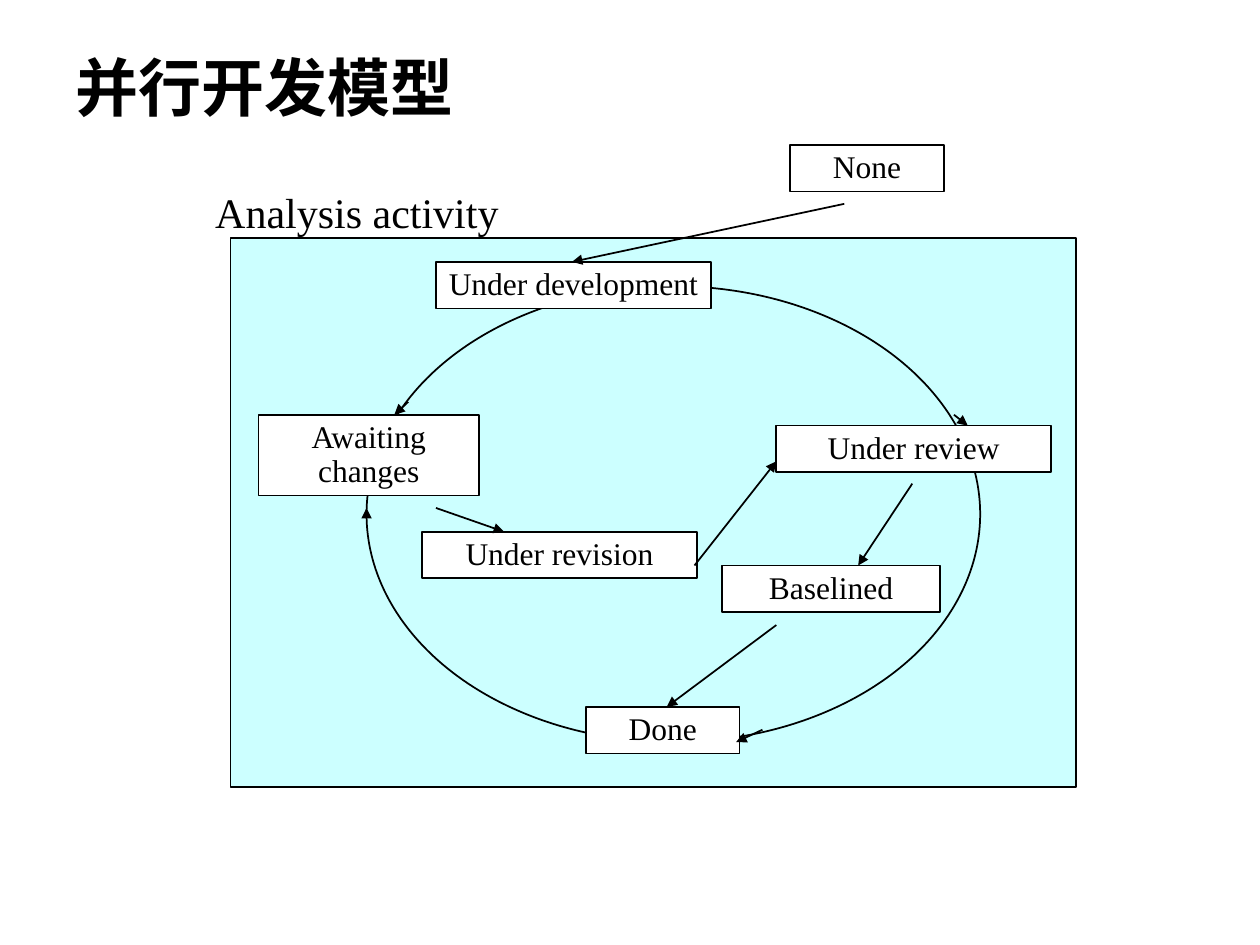
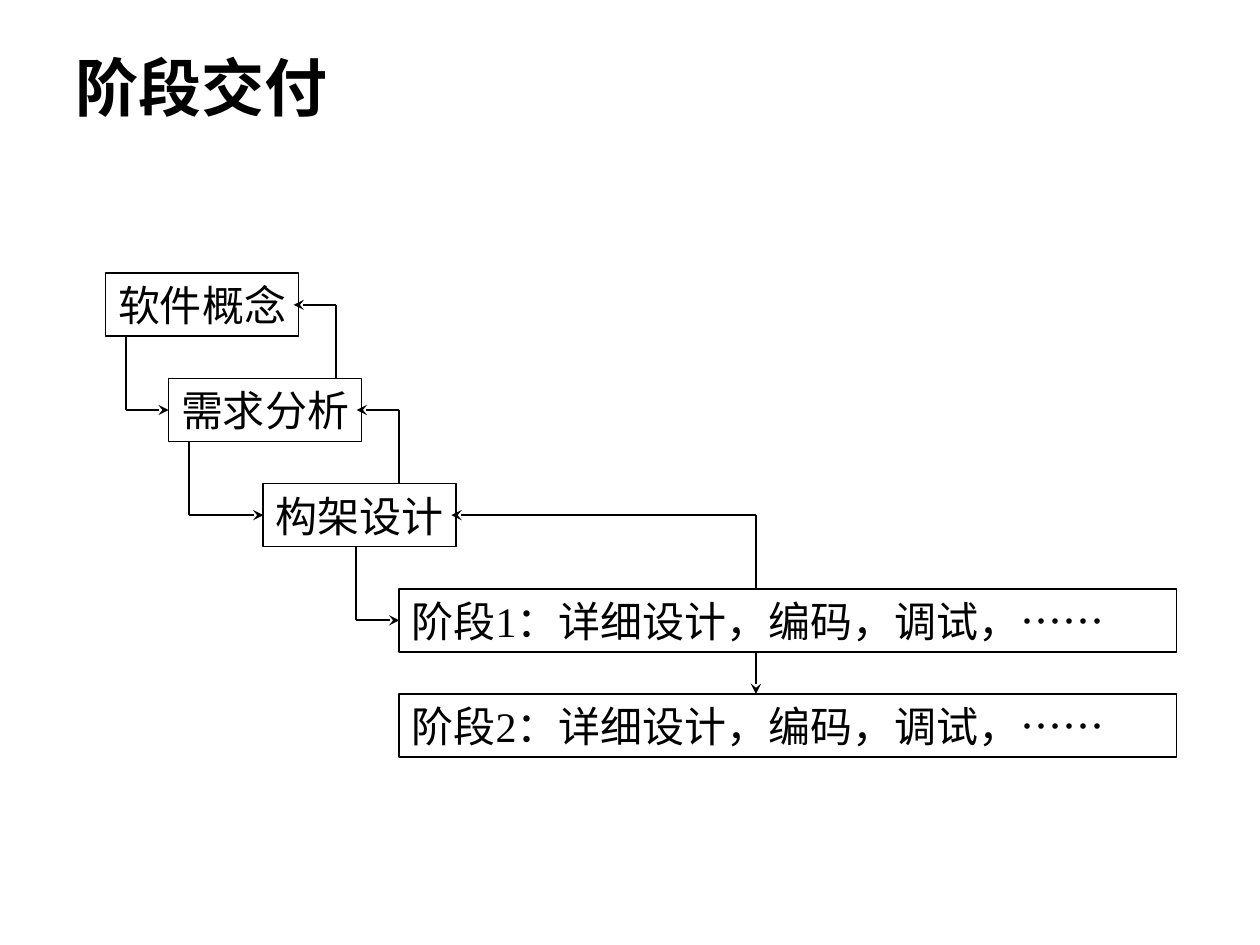
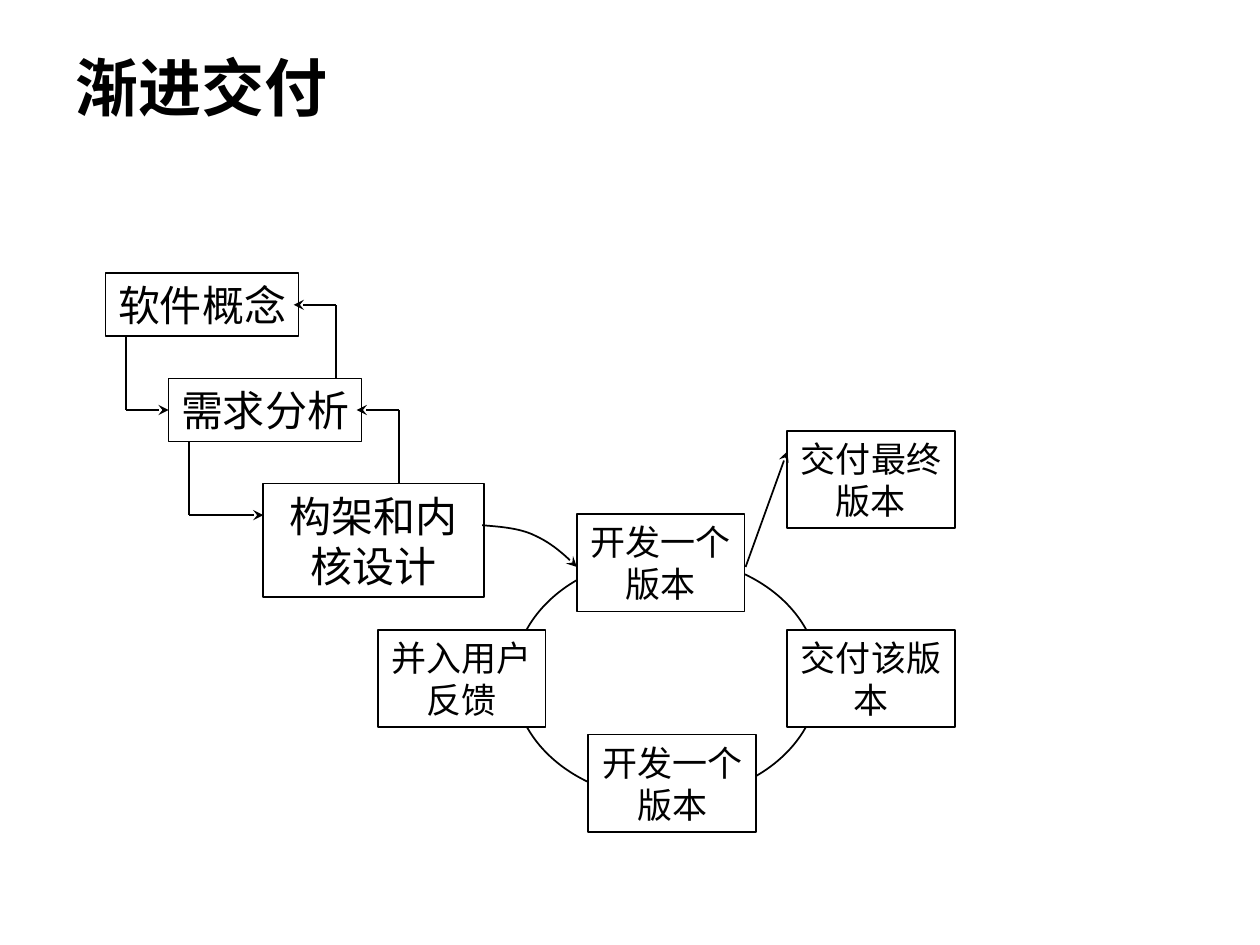
from lxml.etree import SubElement
from pptx import Presentation
from pptx.dml.color import RGBColor
from pptx.enum.lang import MSO_LANGUAGE_ID
from pptx.enum.shapes import MSO_CONNECTOR, MSO_SHAPE
from pptx.enum.text import MSO_ANCHOR, MSO_AUTO_SIZE, PP_ALIGN
from pptx.oxml.ns import qn
from pptx.util import Cm, Pt

BLACK = RGBColor(0x00, 0x00, 0x00)
WHITE = RGBColor(0xFF, 0xFF, 0xFF)
PALE_CYAN = RGBColor(0xCC, 0xFF, 0xFF)
BODY_FONT = "Times New Roman"
TITLE_FONT = "Lato"
LINE_WIDTH = Pt(1)

STEP_WIDTH, STEP_HEIGHT, STEP_PITCH = 3.89, 1.27, 2.12
STATE_HEIGHT = 0.94
VERSION_SIZE = (3.38, 1.96)

TITLE = {"size": 36, "name": TITLE_FONT, "bold": True}
STEP = {"size": 24, "before": 15}
CENTRED_STEP = {**STEP, "align": PP_ALIGN.CENTER}
STATE = {"size": 18, "before": 11.2, "spacing": 0.9, "align": PP_ALIGN.CENTER}
VERSION = {"size": 20, "before": 12.5, "align": PP_ALIGN.CENTER}


def set_all(target, values):
    """Set each attribute named in a dict of format values."""
    for name, value in values.items():
        setattr(target, name, value)


def write(shape, text, style, wrap=True, anchor=MSO_ANCHOR.TOP,
          fit=MSO_AUTO_SIZE.SHAPE_TO_FIT_TEXT):
    """Put one styled paragraph into a shape."""
    frame = shape.text_frame
    set_all(frame, {
        "word_wrap": wrap, "auto_size": fit, "vertical_anchor": anchor,
        "margin_left": Cm(0.25), "margin_right": Cm(0.25),
        "margin_top": Cm(0.13), "margin_bottom": Cm(0.13),
    })
    para = frame.paragraphs[0]
    set_all(para, {
        "alignment": style.get("align", PP_ALIGN.LEFT),
        "space_before": Pt(style.get("before", 0)),
        "line_spacing": style.get("spacing", 1.0),
    })
    span = para.add_run()
    span.text = text
    set_all(span.font, {
        "size": Pt(style["size"]), "name": style.get("name", BODY_FONT),
        "bold": style.get("bold", False),
        "language_id": MSO_LANGUAGE_ID.SIMPLIFIED_CHINESE,
    })
    span.font.color.rgb = BLACK


def paint(shape, fill=None):
    """Give a shape a thin black outline, an optional fill and no shadow."""
    shape.shadow.inherit = False
    if fill is None:
        shape.fill.background()
    else:
        shape.fill.solid()
        shape.fill.fore_color.rgb = fill
    outline(shape)


def outline(shape, head=None):
    """Draw the line in black, with an arrowhead at its end if one is named."""
    shape.line.color.rgb = BLACK
    shape.line.width = LINE_WIDTH
    if head:
        SubElement(shape.line._get_or_add_ln(), qn("a:tailEnd"), type=head)


def add_outlined(page, kind, left, top, width, height, fill=None):
    """Add a preset shape with the shared outline."""
    shape = page.shapes.add_shape(kind, Cm(left), Cm(top), Cm(width), Cm(height))
    paint(shape, fill)
    return shape


def add_line(page, start, end, head=None):
    """Add a straight line from start to end."""
    line = page.shapes.add_connector(
        MSO_CONNECTOR.STRAIGHT, *(Cm(value) for value in (*start, *end)))
    outline(line, head)
    SubElement(line._element.spPr, qn("a:effectLst"))


def add_elbow(page, start, end):
    """Add a vertical leg followed by a horizontal arrow."""
    corner = (start[0], end[1])
    add_line(page, start, corner)
    add_line(page, corner, end, "stealth")


def bezier(points, pieces=12):
    """Return points along a cubic curve, without its first point."""
    weights = (1, 3, 3, 1)
    return [tuple(sum(weights[k] * (1 - t) ** (3 - k) * t ** k * points[k][axis]
                      for k in range(4)) for axis in (0, 1))
            for t in (piece / pieces for piece in range(1, pieces + 1))]


def add_title(page, text):
    """Place the slide title."""
    box = page.shapes.add_textbox(Cm(1.27), Cm(0.76), Cm(22.86), Cm(1.96))
    write(box, text, TITLE, anchor=MSO_ANCHOR.MIDDLE, fit=MSO_AUTO_SIZE.NONE)


def add_state_diagram(page, left, top, width, height):
    """Draw the activity panel with its states and transitions."""
    def at(x, y):
        return left + x, top + y

    add_outlined(page, MSO_SHAPE.RECTANGLE, left, top, width, height, PALE_CYAN)
    add_outlined(page, MSO_SHAPE.OVAL, *at(2.74, 0.97), 12.37, 9.19)
    states = [
        ("None", 11.28, -1.88, 3.1, STATE_HEIGHT),
        ("Awaiting changes", 0.56, 3.56, 4.45, 1.63),
        ("Under revision", 3.86, 5.92, 5.54, STATE_HEIGHT),
        ("Under review", 11, 3.78, 5.54, STATE_HEIGHT),
        ("Baselined", 9.91, 6.6, 4.39, STATE_HEIGHT),
        ("Done", 7.16, 9.45, 3.1, STATE_HEIGHT),
        ("Under development", 4.14, 0.48, 5.54, STATE_HEIGHT),
    ]
    for name, x, y, state_width, state_height in states:
        state = add_outlined(page, MSO_SHAPE.RECTANGLE, *at(x, y),
                             state_width, state_height, WHITE)
        write(state, name, STATE)
    transitions = [
        ((12.37, -0.69), (6.88, 0.48)), ((3.58, 3.3), (3.3, 3.56)),
        ((2.74, 5.66), (2.74, 5.44)), ((4.14, 5.44), (5.51, 5.92)),
        ((9.35, 6.6), (11, 4.5)), ((13.74, 4.95), (12.65, 6.6)),
        ((11, 7.8), (8.79, 9.45)), ((14.58, 3.56), (14.86, 3.78)),
        ((10.72, 9.91), (10.19, 10.16)),
    ]
    for start, end in transitions:
        add_line(page, at(*start), at(*end), "triangle")
    x, y = at(-0.56, -1.17)
    label = page.shapes.add_textbox(Cm(x), Cm(y), Cm(6.22), Cm(1.27))
    write(label, "Analysis activity", STEP, wrap=False)


def add_cascade(page, left, top, steps, links):
    """Draw falling steps, each joined to the next by a pair of elbows.

    A step is (text, offset, width, height, style, wrap);
    a link is (x of the way down, x of the way back).
    """
    for row, (text, offset, width, height, style, wrap) in enumerate(steps):
        step = add_outlined(page, MSO_SHAPE.RECTANGLE, left + offset,
                            top + row * STEP_PITCH, width, height)
        write(step, text, style, wrap)
    for row, (down, back) in enumerate(links):
        upper = top + row * STEP_PITCH
        lower = upper + STEP_PITCH
        middle = STEP_HEIGHT / 2
        right = left + steps[row][1] + steps[row][2]
        add_elbow(page, (left + down, upper + STEP_HEIGHT),
                  (left + steps[row + 1][1], lower + middle))
        add_elbow(page, (left + back, lower), (right - 0.1, upper + middle))


def add_version_ring(page, left, top, width, height):
    """Draw the ring of version steps with its way in and way out."""
    def at(x, y):
        return left + x, top + y

    add_outlined(page, MSO_SHAPE.OVAL, left, top, width, height, WHITE)
    versions = [
        ("开发一个版本", 1.27, -0.86, WHITE), ("并入用户反馈", -2.74, 1.47, WHITE),
        ("交付该版本", 5.51, 1.47, WHITE), ("开发一个版本", 1.5, 3.58, WHITE),
        ("交付最终版本", 5.51, -2.54, None),
    ]
    for text, x, y, fill in versions:
        version = add_outlined(page, MSO_SHAPE.RECTANGLE, *at(x, y),
                               *VERSION_SIZE, fill)
        write(version, text, VERSION)
    controls = [at(*point) for point in (
        (-0.64, -0.64), (-0.25, -0.61), (0.13, -0.58), (0.43, -0.43),
        (0.76, -0.28), (1.02, -0.05), (1.27, 0.2))]
    route = bezier(controls[:4]) + bezier(controls[3:])
    builder = page.shapes.build_freeform(*(Cm(value) for value in controls[0]))
    builder.add_line_segments([(Cm(x), Cm(y)) for x, y in route], close=False)
    entry = builder.convert_to_shape()
    paint(entry)
    outline(entry, "stealth")
    add_line(page, at(4.67, 0.2), at(5.51, -2.13), "stealth")


def add_page(deck, title):
    """Add a blank slide with its title."""
    page = deck.slides.add_slide(deck.slide_layouts[6])
    add_title(page, title)
    return page


def plain_step(text, offset):
    """Describe a step of the standard size."""
    return text, offset, STEP_WIDTH, STEP_HEIGHT, STEP, False


def stage_step(number):
    """Describe a wide step for one delivery stage."""
    text = f"阶段{number}：详细设计，编码，调试，……"
    return text, 5.92, 15.67, STEP_HEIGHT, STEP, True


def main():
    """Build the three slides and save them."""
    deck = Presentation()
    set_all(deck, {"slide_width": Cm(25.4), "slide_height": Cm(19.05)})
    origin = (2.13, 5.51)
    first_steps = [plain_step("软件概念", 0), plain_step("需求分析", 1.27)]
    first_links = [(0.41, 4.65), (1.68, 5.92)]

    page = add_page(deck, "并行开发模型")
    add_state_diagram(page, 4.65, 4.8, 17.04, 11.07)

    page = add_page(deck, "阶段交付")
    steps = first_steps + [plain_step("构架设计", 3.18), stage_step(1), stage_step(2)]
    add_cascade(page, *origin, steps, first_links + [(5.05, 13.11)])
    stage_x = origin[0] + 13.11
    stage_top = origin[1] + 3 * STEP_PITCH
    add_line(page, (stage_x, stage_top + STEP_HEIGHT),
             (stage_x, stage_top + STEP_PITCH), "stealth")

    page = add_page(deck, "渐进交付")
    core = ("构架和内核设计", 3.18, 4.45, 2.29, CENTRED_STEP, True)
    add_cascade(page, *origin, first_steps + [core], first_links)
    add_version_ring(page, 10.36, 11.23, 6.15, 4.88)

    deck.save("out.pptx")


main()
